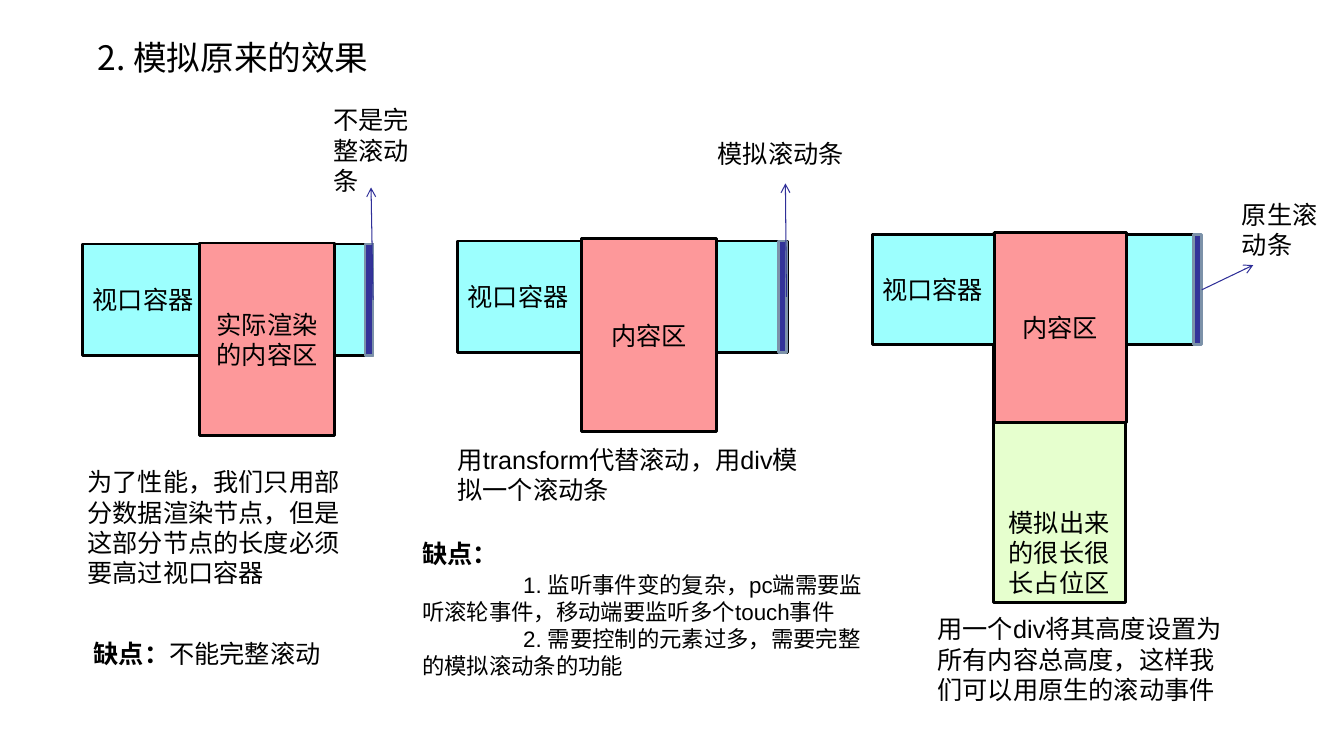
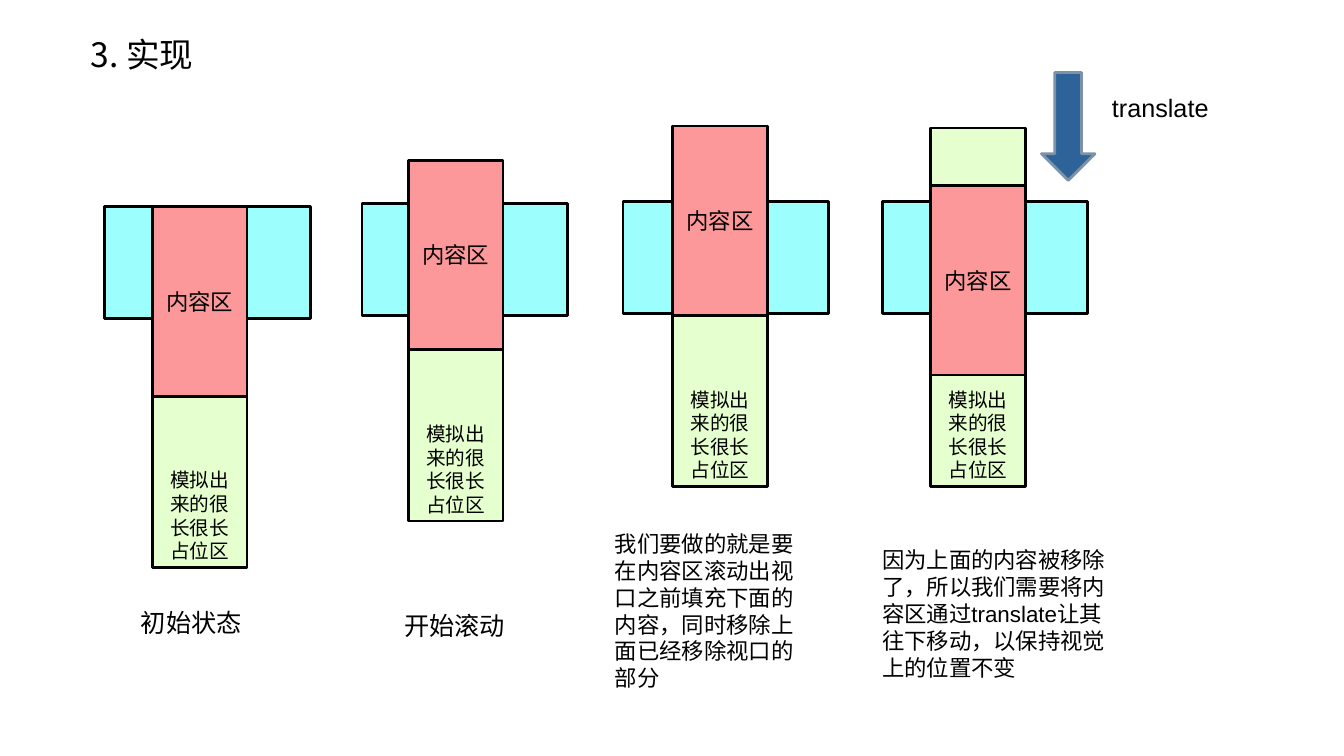
from pptx import Presentation
from pptx.dml.color import RGBColor
from pptx.enum.shapes import MSO_CONNECTOR, MSO_SHAPE
from pptx.enum.text import MSO_ANCHOR, MSO_AUTO_SIZE, PP_ALIGN
from pptx.oxml.ns import qn
from pptx.util import Inches, Pt
from lxml import etree

RECT, DOWN = MSO_SHAPE.RECTANGLE, MSO_SHAPE.DOWN_ARROW
STRAIGHT = MSO_CONNECTOR.STRAIGHT
MIDDLE, BOTTOM = MSO_ANCHOR.MIDDLE, MSO_ANCHOR.BOTTOM
LEFT, CENTER = PP_ALIGN.LEFT, PP_ALIGN.CENTER
FIT = MSO_AUTO_SIZE.SHAPE_TO_FIT_TEXT

BLACK = RGBColor(0x00, 0x00, 0x00)
CYAN = RGBColor(0x9C, 0xFF, 0xFE)
PINK = RGBColor(0xFD, 0x98, 0x9A)
GREEN = RGBColor(0xE6, 0xFF, 0xCE)
INDIGO = RGBColor(0x33, 0x33, 0x99)
NAVY = RGBColor(0x2F, 0x2F, 0x98)
BLUE = RGBColor(0x2D, 0x63, 0x99)
GREY = RGBColor(0x7C, 0x92, 0xA9)

SANS, LATIN = "Noto Sans CJK SC", "Arial"
TITLE, LARGE, MEDIUM, SMALL = 24, 18, 16, 14
VIEW, BODY, FILLER = "视口容器", "内容区", "模拟出来的很长很长占位区"

deck = Presentation()
deck.slide_width, deck.slide_height = Inches(13.33), Inches(7.5)
blank = deck.slide_layouts[6]


def block(slide, at, fill, text="", size=LARGE, align=CENTER, anchor=MIDDLE,
          edge=BLACK, kind=RECT):
    shape = slide.shapes.add_shape(kind, *map(Inches, at))
    shape.shadow.inherit = False
    shape.fill.solid()
    shape.fill.fore_color.rgb = fill
    shape.line.color.rgb = edge
    shape.line.width = Pt(2)
    frame = shape.text_frame
    frame.word_wrap = True
    frame.vertical_anchor = anchor
    frame.text = text
    para = frame.paragraphs[0]
    para.alignment = align
    para.font.size = Pt(size)
    para.font.name = SANS
    para.font.color.rgb = BLACK


def note(slide, at, text, size=LARGE, face=LATIN, wrap=True):
    frame = slide.shapes.add_textbox(*map(Inches, at)).text_frame
    frame.word_wrap = wrap
    frame.auto_size = FIT
    frame.text = text
    for para in frame.paragraphs:
        para.font.size = Pt(size)
        para.font.name = face
        para.font.color.rgb = BLACK
    return frame.paragraphs


effect = deck.slides.add_slide(blank)
note(effect, (0.87, 0.32, 3.02, 0.53), "2. 模拟原来的效果", TITLE, SANS)
block(effect, (9.85, 2.32, 1.31, 3.66), GREEN, FILLER, anchor=BOTTOM)

BAR = 0.08
schemes = [
    ((0.82, 2.42, 2.88, 1.11), (1.98, 2.41, 1.34, 1.91), "实际渲染的内容区",
     3.62, (3.68, 1.86), (3.21, 0.99, 1.07, 1.02), "不是完整滚动条", True),
    ((4.54, 2.39, 3.27, 1.11), (5.77, 2.37, 1.34, 1.91), BODY,
     7.72, (7.79, 1.82), (7.02, 1.32, 1.45, 0.42), "模拟滚动条", False),
    ((8.65, 2.33, 3.19, 1.09), (9.86, 2.31, 1.31, 1.88), BODY,
     11.84, (12.43, 2.63), (12.22, 1.93, 1.16, 0.72), "原生滚动条", True),
]
for view, body, label, bar, tip, spot, name, wrap in schemes:
    left, top, width, height = view
    block(effect, view, CYAN, VIEW, align=LEFT)
    block(effect, body, PINK, label)
    block(effect, (bar, top, BAR, height), INDIGO, edge=GREY)
    start = (bar + BAR, top + height / 2)
    arrow = effect.shapes.add_connector(STRAIGHT, *map(Inches, start + tip))
    arrow.line.color.rgb = NAVY
    arrow.line.width = Pt(0.75)
    etree.SubElement(arrow.line._get_or_add_ln(), qn("a:tailEnd"), type="arrow")
    etree.SubElement(arrow._element.spPr, qn("a:effectLst"))
    note(effect, spot, name, face=SANS, wrap=wrap)

reasons = [
    ((0.77, 4.58, 2.94, 1.3),
     "为了性能，我们只用部分数据渲染节点，但是这部分节点的长度必须要高过视口容器"),
    ((4.44, 4.36, 3.66, 1), "用transform代替滚动，用div模拟一个滚动条"),
    ((9.2, 6.04, 3.02, 1.3),
     "用一个div将其高度设置为所有内容总高度，这样我们可以用原生的滚动事件"),
]
for spot, text in reasons:
    note(effect, spot, text)

flaw = note(effect, (0.83, 6.28, 2.45, 0.4), "缺点：", wrap=False)[0]
flaw.runs[0].font.bold = True
flaw.add_run().text = "不能完整滚动"

head, *flaws = note(
    effect, (4.09, 5.29, 4.69, 1.5),
    "缺点：\n"
    "1. 监听事件变的复杂，pc端需要监听滚轮事件，移动端要监听多个touch事件\n"
    "2. 需要控制的元素过多，需要完整的模拟滚动条的功能", MEDIUM)
head.font.size = Pt(LARGE)
head.font.bold = True
head.space_after = Pt(2)
for para in flaws:
    para._p.get_or_add_pPr().set("indent", str(Inches(1)))

steps = deck.slides.add_slide(blank)
note(steps, (0.8, 0.29, 2.35, 0.53), "3. 实现", TITLE, SANS)

COLUMN = 0.94
stages = [
    (1.04, 2.05, 1.51, 2.07, 2.05,
     (1.3, 5.98, 1.2, 0.4), "初始状态", LARGE, False),
    (3.59, 2.02, 4.05, 1.61, 1.59,
     (3.91, 6.01, 1.2, 0.4), "开始滚动", LARGE, False),
    (6.18, 2, 6.67, 1.27, 1.25, (6, 5.21, 2.19, 1.7),
     "我们要做的就是要在内容区滚动出视口之前填充下面的内容，同时移除上面已经移除视口的部分",
     MEDIUM, True),
    (8.75, 2, 9.23, 1.27, 1.84, (8.65, 5.37, 2.45, 1.43),
     "因为上面的内容被移除了，所以我们需要将内容区通过translate让其往下移动，以保持视觉上的位置不变",
     MEDIUM, True),
]
for left, top, inner, filler, body, spot, text, size, wrap in stages:
    block(steps, (left, top, 2.04, 1.11), CYAN)
    block(steps, (inner, filler, COLUMN, 3.56), GREEN, FILLER, SMALL, anchor=BOTTOM)
    block(steps, (inner, body, COLUMN, 1.88), PINK, BODY, MEDIUM)
    note(steps, spot, text, size, wrap=wrap)

block(steps, (10.33, 0.72, 0.53, 1.07), BLUE, edge=GREY, kind=DOWN)
note(steps, (10.93, 0.87, 1.49, 0.4), "translate")

deck.save("out.pptx")
